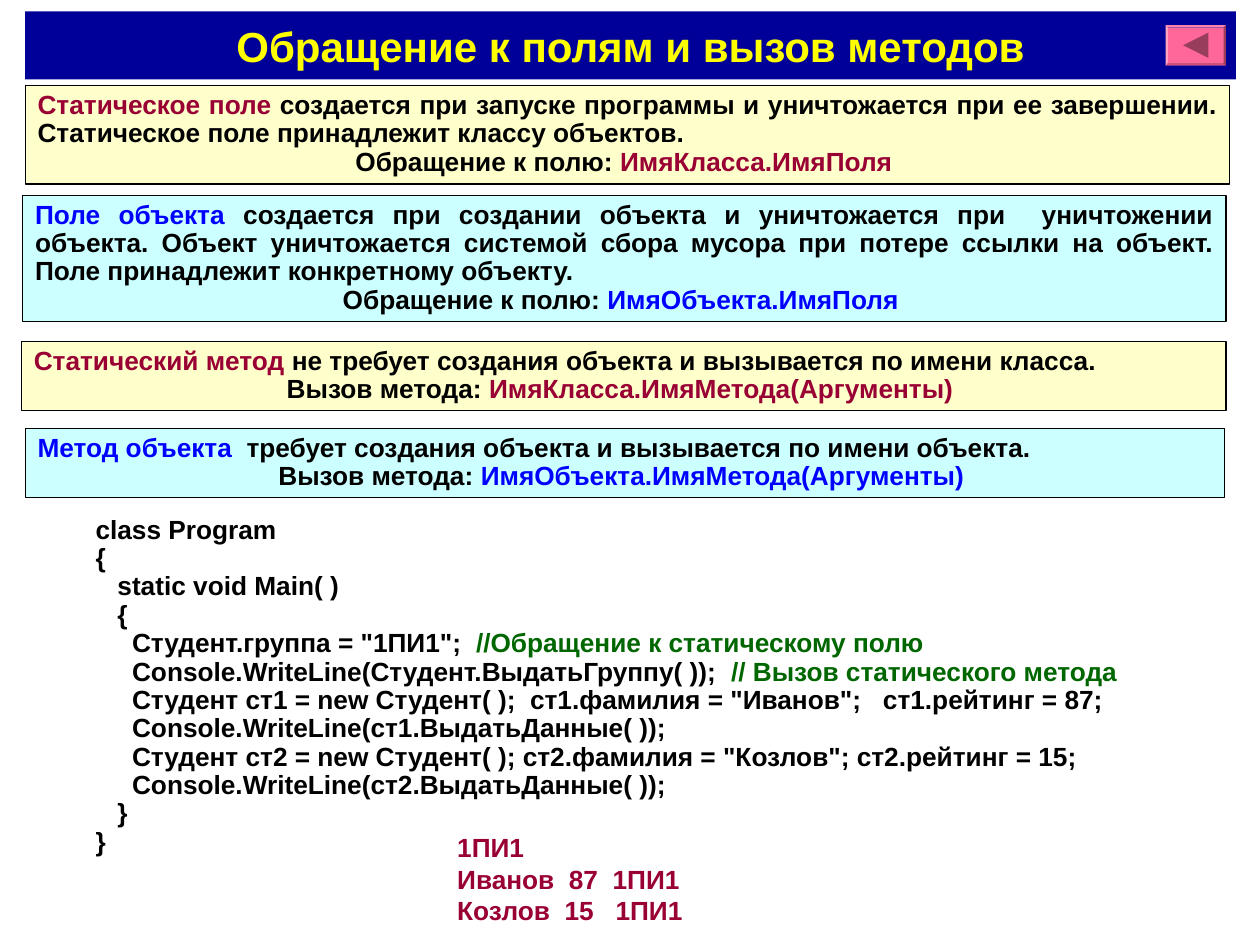
from pptx import Presentation
from pptx.dml.color import RGBColor
from pptx.enum.shapes import MSO_SHAPE
from pptx.enum.text import MSO_ANCHOR, PP_ALIGN
from pptx.util import Inches, Pt

COLORS = {
    "navy": "000099", "yellow": "FFFF00", "cream": "FFFFCC", "cyan": "CCFFFF",
    "black": "000000", "wine": "990033", "blue": "0000FF", "green": "006600",
    "pink": "FF6699", "plum": "993D5C",
}
TITLE = "Обращение к полям и вызов методов"

# position, fill, accent, term, explanation, call label, call form
DEFINITIONS = [
    ((0.2, 0.68, 9.56, 0.78), "cream", "wine", "Статическое поле",
     " создается при запуске программы и уничтожается при ее завершении. "
     "Статическое поле принадлежит классу объектов. ",
     "Обращение к полю: ", "ИмяКласса.ИмяПоля "),
    ((0.18, 1.55, 9.55, 1), "cyan", "blue", "Поле объекта ",
     "создается при создании объекта и уничтожается при  уничтожении объекта. "
     "Объект уничтожается системой сбора мусора при потере ссылки на объект. "
     "Поле принадлежит конкретному объекту. ",
     "Обращение к полю: ", "ИмяОбъекта.ИмяПоля "),
    ((0.17, 2.71, 9.56, 0.55), "cream", "wine", "Статический метод",
     " не требует создания объекта и вызывается по имени класса. ",
     "Вызов метода: ", "ИмяКласса.ИмяМетода(Аргументы) "),
    ((0.2, 3.4, 9.52, 0.55), "cyan", "blue", "Метод объекта",
     "  требует создания объекта и вызывается по имени объекта. ",
     "Вызов метода: ", "ИмяОбъекта.ИмяМетода(Аргументы) "),
]

# indent in spaces, code, comment
CODE = [
    (0, "class Program", ""),
    (0, "{", ""),
    (3, "static void Main( )", ""),
    (3, "{", ""),
    (5, 'Студент.группа = "1ПИ1";  ', "//Обращение к статическому полю"),
    (5, "Console.WriteLine(Студент.ВыдатьГруппу( ));  ", "// Вызов статического метода"),
    (5, 'Студент ст1 = new Студент( );  ст1.фамилия = "Иванов";   ст1.рейтинг = 87;', ""),
    (5, "Console.WriteLine(ст1.ВыдатьДанные( ));", ""),
    (5, 'Студент ст2 = new Студент( ); ст2.фамилия = "Козлов"; ст2.рейтинг = 15;', ""),
    (5, "Console.WriteLine(ст2.ВыдатьДанные( ));", ""),
    (3, "}", ""),
    (0, "}", ""),
]
OUTPUT = ["1ПИ1", "Иванов  87  1ПИ1", "Козлов  15   1ПИ1"]
SPACE_WIDTH = 15 * 0.278  # points, Arial Bold at 15 pt


def color(name):
    return RGBColor.from_string(COLORS[name])


def paint(shape, fill, line=None):
    shape.shadow.inherit = False
    shape.fill.solid()
    shape.fill.fore_color.rgb = color(fill)
    if line:
        shape.line.color.rgb = color(line)
        shape.line.width = Pt(0.75)
    else:
        shape.line.fill.background()


def add_rectangle(page, place, fill, line=None):
    box = page.shapes.add_shape(MSO_SHAPE.RECTANGLE, *map(Inches, place))
    paint(box, fill, line)
    return box


def write(box, paragraphs, size=15, spacing=None, anchor=MSO_ANCHOR.TOP, wrap=True):
    """Fill a box with (alignment, indent in points, [(text, color), ...]) paragraphs."""
    frame = box.text_frame
    frame.word_wrap = wrap
    frame.vertical_anchor = anchor
    for index, (alignment, indent, spans) in enumerate(paragraphs):
        para = frame.paragraphs[0] if index == 0 else frame.add_paragraph()
        para.alignment = alignment
        para.line_spacing = spacing
        if indent:
            para._p.get_or_add_pPr().set("marL", str(Pt(indent)))
        for text, shade in spans:
            span = para.add_run()
            span.text = text
            span.font.name = "Arial"
            span.font.size = Pt(size)
            span.font.bold = True
            span.font.color.rgb = color(shade)


def add_back_button(page, left, top, width, height):
    button = page.shapes.add_shape(
        MSO_SHAPE.BEVEL, *map(Inches, (left, top, width, height)))
    button.adjustments[0] = 0.06
    paint(button, "pink")
    middle = top + height / 2
    tip, base, half = left + 0.14, left + 0.34, 0.1
    builder = page.shapes.build_freeform(Inches(tip), Inches(middle))
    builder.add_line_segments(
        [(Inches(base), Inches(middle - half)), (Inches(base), Inches(middle + half))])
    paint(builder.convert_to_shape(), "plum")


def main():
    deck = Presentation()
    deck.slide_width, deck.slide_height = Inches(10), Inches(7.5)
    page = deck.slides.add_slide(deck.slide_layouts[6])

    banner = add_rectangle(page, (0.2, 0.09, 9.61, 0.54), "navy")
    write(banner, [(PP_ALIGN.CENTER, 0, [(TITLE, "yellow")])],
          size=24, anchor=MSO_ANCHOR.MIDDLE)
    add_back_button(page, 9.25, 0.2, 0.48, 0.32)

    listing = page.shapes.add_textbox(*map(Inches, (0.66, 4.05, 8.82, 2.81)))
    lines = []
    for spaces, code, comment in CODE:
        spans = [(code, "black")] + ([(comment, "green")] if comment else [])
        lines.append((PP_ALIGN.LEFT, spaces * SPACE_WIDTH, spans))
    write(listing, lines, spacing=0.9)

    for place, fill, accent, term, explanation, label, form in DEFINITIONS:
        box = add_rectangle(page, place, fill, "black")
        write(box, [
            (PP_ALIGN.JUSTIFY, 0, [(term, accent), (explanation, "black")]),
            (PP_ALIGN.CENTER, 0, [(label, "black"), (form, accent)]),
        ], spacing=0.9)

    result = page.shapes.add_textbox(*map(Inches, (3.53, 6.55, 2.05, 0.85)))
    write(result, [(PP_ALIGN.LEFT, 0, [(line, "wine")]) for line in OUTPUT], wrap=False)

    deck.save("out.pptx")


if __name__ == "__main__":
    main()
